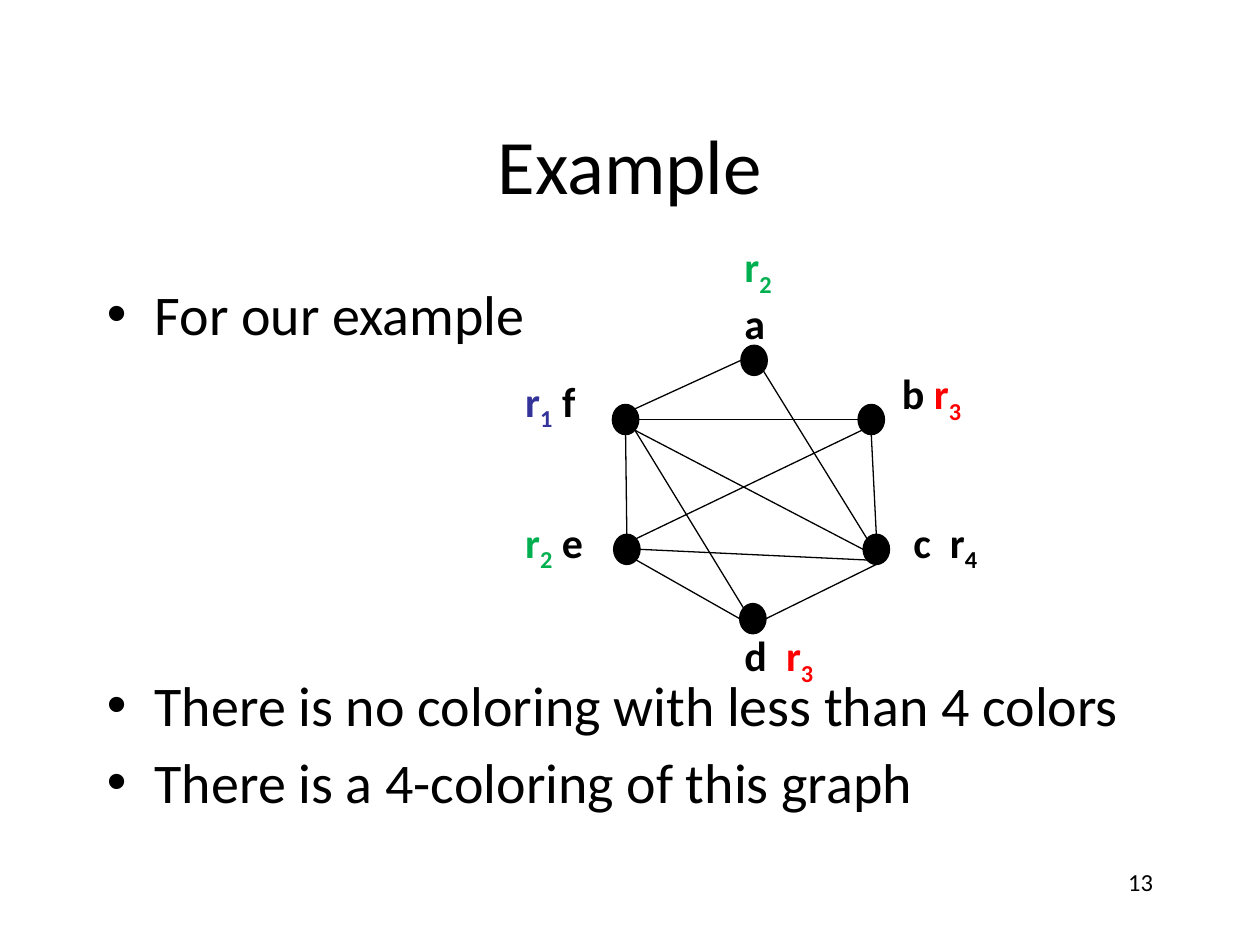
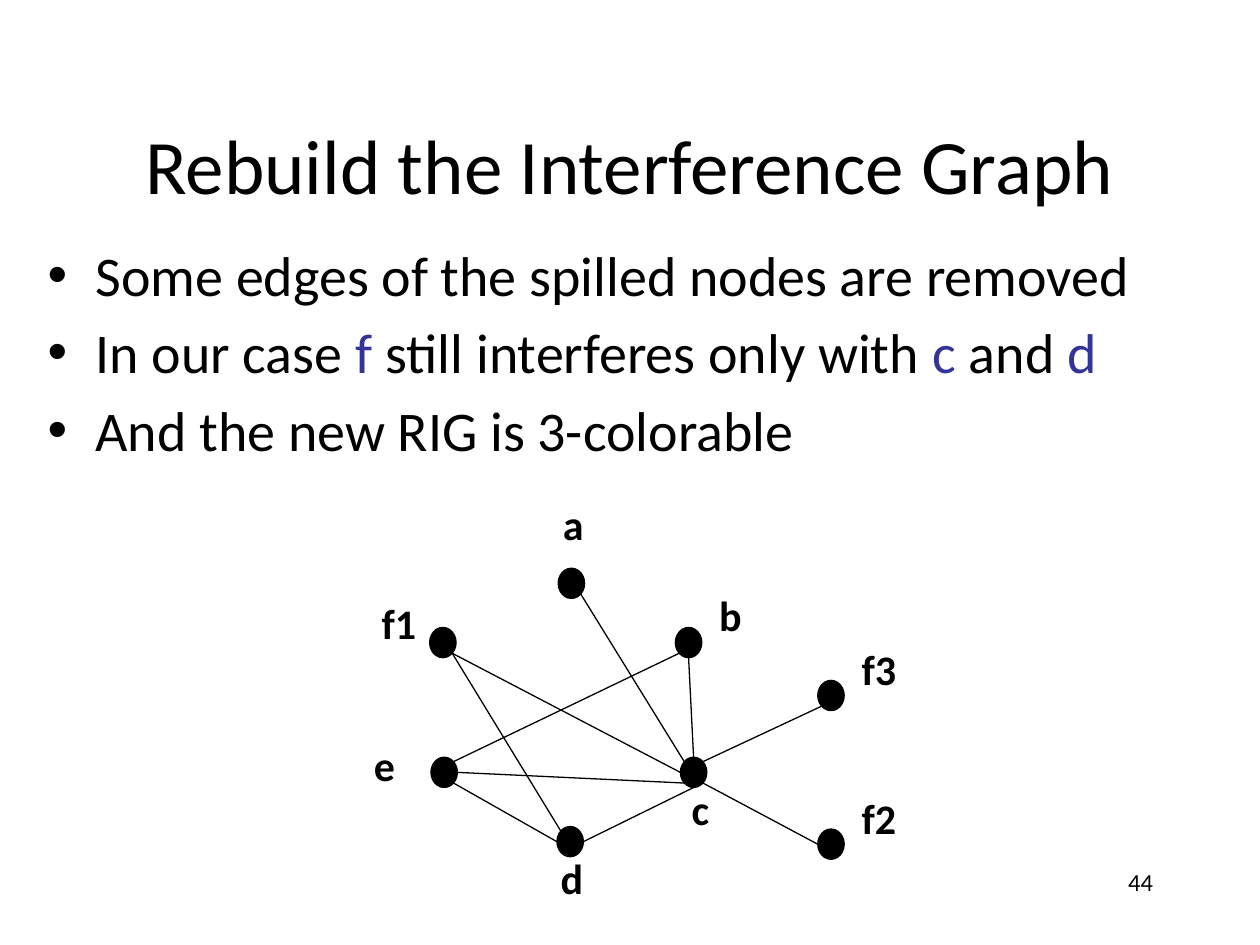
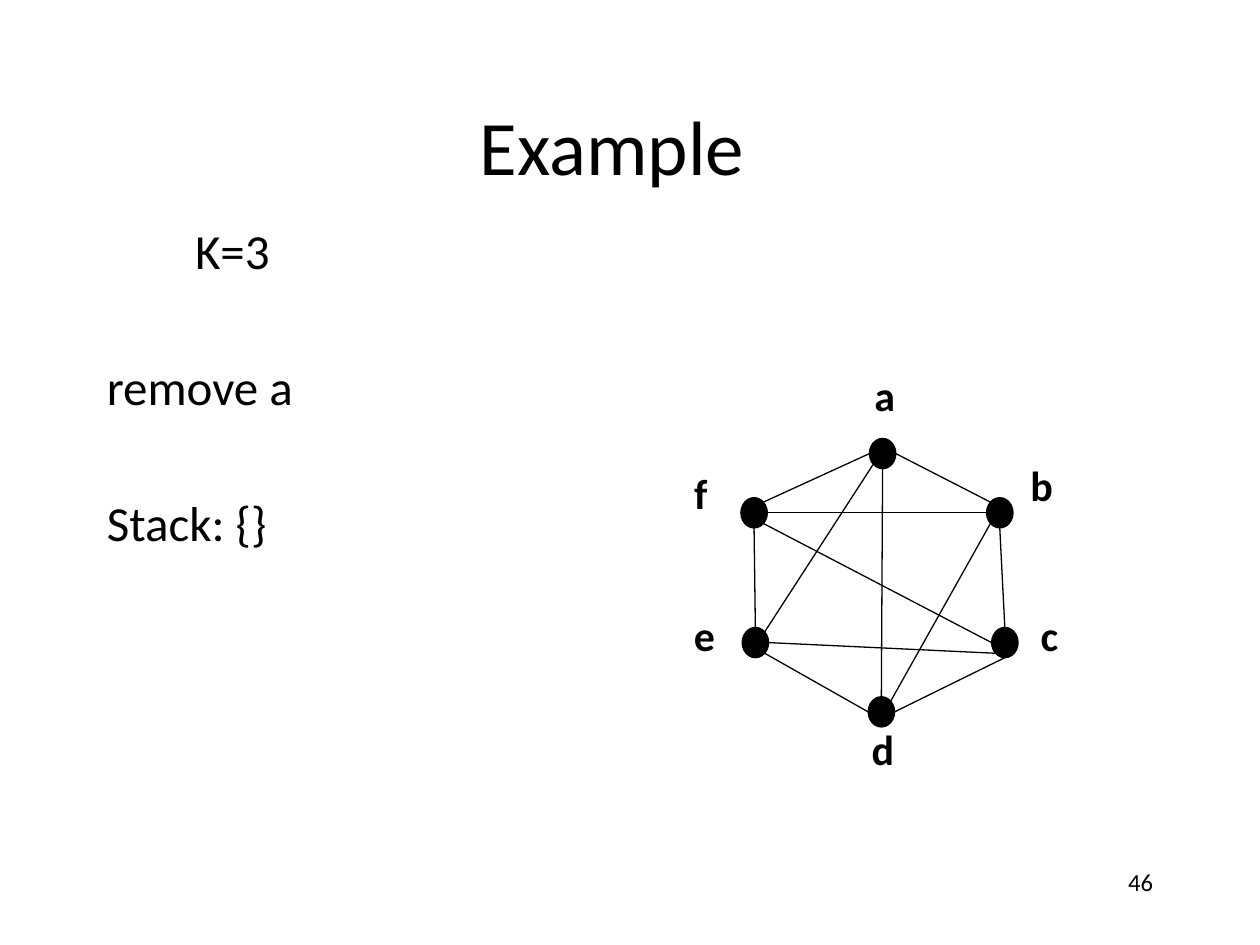
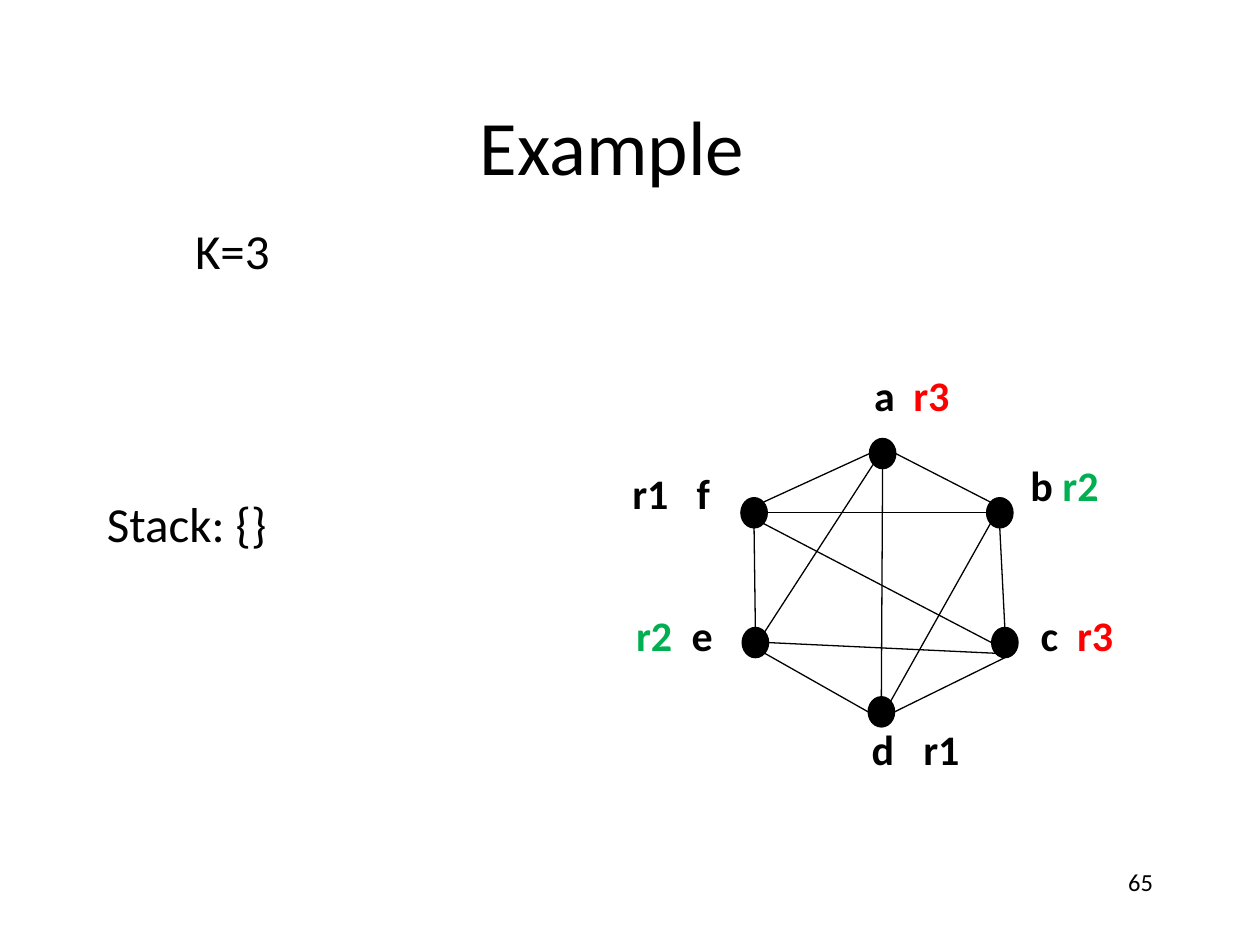
from dataclasses import dataclass

from lxml import etree
from pptx import Presentation
from pptx.dml.color import RGBColor
from pptx.enum.shapes import MSO_CONNECTOR, MSO_SHAPE
from pptx.enum.text import MSO_ANCHOR, PP_ALIGN
from pptx.oxml.ns import qn
from pptx.util import Inches, Pt

STRAIGHT, OVAL = MSO_CONNECTOR.STRAIGHT, MSO_SHAPE.OVAL
MIDDLE, TOP = MSO_ANCHOR.MIDDLE, MSO_ANCHOR.TOP
LEFT, CENTER, RIGHT = PP_ALIGN.LEFT, PP_ALIGN.CENTER, PP_ALIGN.RIGHT


@dataclass(frozen=True)
class Theme:
    font: str = "Calibri"
    black: str = "000000"
    blue: str = "333399"
    green: str = "00B050"
    red: str = "FF0000"
    title: int = 44
    bullet: int = 32
    step: int = 28
    label: int = 24
    page: int = 14
    edge: float = 0.75
    line_pitch: float = 1.4     # distance between paragraphs, in type sizes
    line_height: float = 1.22


THEME = Theme()

# A run is (text, colour) or (text, colour, "sub").
# A label is node: (dx, dy, width, tab stop, paragraphs), measured from the node.
# An edge is (node, side, node, side).
NODE_W, NODE_H = 0.21, 0.24
LABEL_H = 0.5
HEXAGON = {"a": (0, 0), "b": (0.93, 0.47), "c": (0.97, 1.5),
           "d": (-0.01, 2.05), "e": (-1.01, 1.5), "f": (-1.02, 0.47)}
SPLIT_NODES = {**{name: HEXAGON[name] for name in "abcde"},
               "f1": HEXAGON["f"], "f2": (2.06, 2.07), "f3": (2.06, 0.89)}


def plain(text):
    return [[(text, "black")]]


COLORED_LABELS = {
    "a": (-0.07, -0.88, 0.54, None, [[("r", "green"), ("2", "green", "sub")],
                                     [("a", "black")]]),
    "b": (0.25, -0.34, 0.86, None, [[("b ", "black"), ("r", "red"), ("3", "red", "sub")]]),
    "c": (0.3, -0.19, 1.01, 0.29, [[("c\tr", "black"), ("4", "black", "sub")]]),
    "d": (-0.06, 0.16, 1.01, 0.33, [[("d\t", "black"), ("r", "red"), ("3", "red", "sub")]]),
    "e": (-0.8, -0.19, 0.84, None, [[("r", "green"), ("2", "green", "sub"), (" e", "black")]]),
    "f": (-0.79, -0.28, 0.92, None, [[("r", "blue"), ("1", "blue", "sub"), (" f", "black")]]),
}
SPLIT_LABELS = {
    "a": (-0.06, -0.6, 0.54, None, plain("a")),
    "b": (0.25, -0.35, 0.86, None, plain("b")),
    "c": (-0.01, 0.16, 1.01, None, plain("c")),
    "d": (-0.07, 0.16, 1.01, None, plain("d")),
    "e": (-0.55, -0.19, 0.84, None, plain("e")),
    "f1": (-0.48, -0.29, 0.92, None, plain("f1")),
    "f2": (0.25, -0.34, 0.86, None, plain("f2")),
    "f3": (0.25, -0.34, 0.86, None, plain("f3")),
}
START_LABELS = {
    "a": (-0.06, -0.6, 0.99, None, plain("a")),
    "b": (0.25, -0.35, 0.86, None, plain("b")),
    "c": (0.29, -0.19, 1.01, None, plain("c")),
    "d": (-0.07, 0.16, 1.01, None, plain("d")),
    "e": (-0.48, -0.19, 0.54, None, plain("e")),
    "f": (-0.47, -0.29, 0.62, None, plain("f")),
}
FINAL_LABELS = {
    "a": (-0.06, -0.6, 1.67, 0.31, [[("a\t", "black"), ("r3", "red")]]),
    "b": (0.25, -0.35, 0.86, None, [[("b ", "black"), ("r2", "green")]]),
    "c": (0.29, -0.19, 1.72, 0.29, [[("c\t", "black"), ("r3", "red")]]),
    "d": (-0.07, 0.16, 1.01, 0.41, plain("d\tr1")),
    "e": (-0.94, -0.19, 0.84, 0.44, [[("r2\t", "green"), ("e", "black")]]),
    "f": (-0.96, -0.29, 0.92, 0.51, plain("r1\tf")),
}

RIM_EDGES = [("b", "S", "c", "N"), ("c", "SW", "e", "E"),
             ("c", "S", "d", "E"), ("d", "W", "e", "SE")]
COLORED_EDGES = RIM_EDGES + [
    ("a", "W", "f", "NE"), ("e", "N", "f", "S"), ("d", "NW", "f", "SE"),
    ("a", "SE", "c", "NW"), ("b", "W", "f", "E"), ("c", "W", "f", "SE"),
    ("b", "SW", "e", "NE")]
SPLIT_EDGES = RIM_EDGES + [
    ("d", "NW", "f1", "SE"), ("a", "SE", "c", "NW"), ("c", "W", "f1", "SE"),
    ("b", "SW", "e", "NE"), ("f3", "SW", "c", "NE"), ("f2", "W", "c", "SE")]
K3_EDGES = RIM_EDGES + [
    ("e", "N", "f", "S"), ("b", "W", "f", "E"), ("b", "SW", "d", "NE"),
    ("c", "W", "f", "SE"), ("a", "W", "f", "NE"), ("a", "E", "b", "NW"),
    ("a", "SW", "e", "NE"), ("a", "S", "d", "N")]

# A body line is (lines skipped above, left indent, runs).
BULLET_INDENT, K_INDENT = 0.38, 0.7
K_LINE = (0, K_INDENT, [("K=3", "black")])
STACK = [("Stack: {}", "black")]
BULLETS = {"body_size": THEME.bullet, "bulleted": True, "title_top": 0.67, "title_shift": 0}
STEPS = {"body_size": THEME.step, "bulleted": False, "title_top": 0.52, "title_shift": 0.28,
         "body_at": (0.75, 1.7, 8.66), "title": "Example",
         "graph_at": (6.9, 3.48), "nodes": HEXAGON, "edges": K3_EDGES}
SLIDES = [
    {**BULLETS, "title": "Example", "page": "13", "body_at": (0.75, 2.17, 8.66),
     "body": [(0, BULLET_INDENT, [("For our example", "black")]),
              (4, BULLET_INDENT,
               [("There is no coloring with less than 4 colors", "black")]),
              (0, BULLET_INDENT, [("There is a 4-coloring of this graph", "black")])],
     "graph_at": (5.88, 2.74), "nodes": HEXAGON, "edges": COLORED_EDGES,
     "labels": COLORED_LABELS},
    {**BULLETS, "title": "Rebuild the Interference Graph", "page": "44",
     "body_at": (0.28, 1.86, 9.21),
     "body": [(0, BULLET_INDENT,
               [("Some edges of the spilled nodes are removed", "black")]),
              (0, BULLET_INDENT,
               [("In our case ", "black"), ("f", "blue"),
                (" still interferes only with ", "black"), ("c", "blue"),
                (" and ", "black"), ("d", "blue")]),
              (0, BULLET_INDENT, [("And the new RIG is 3-colorable", "black")])],
     "graph_at": (4.43, 4.51), "nodes": SPLIT_NODES, "edges": SPLIT_EDGES,
     "labels": SPLIT_LABELS},
    {**STEPS, "page": "46", "labels": START_LABELS,
     "body": [K_LINE, (1, 0, [("remove a", "black")]), (1, 0, STACK)]},
    {**STEPS, "page": "65", "labels": FINAL_LABELS,
     "body": [K_LINE, (3, 0, STACK)]},
]


def color(name):
    return RGBColor.from_string(getattr(THEME, name))


def add_frame(slide, left, top, width, height, anchor=TOP):
    frame = slide.shapes.add_textbox(
        Inches(left), Inches(top), Inches(width), Inches(height)).text_frame
    frame.word_wrap = True
    frame.vertical_anchor = anchor
    return frame


def next_paragraph(frame, index):
    return frame.paragraphs[0] if index == 0 else frame.add_paragraph()


def add_runs(paragraph, runs, size, bold=False, align=LEFT):
    paragraph.alignment = align
    for text, ink, *position in runs:
        run = paragraph.add_run()
        run.text = text
        font = run.font
        font.name, font.size, font.bold = THEME.font, Pt(size), bold
        font.color.rgb = color(ink)
        if position:
            run._r.get_or_add_rPr().set("baseline", "-25000")


def add_title(slide, text, top, shift):
    """Centre the title; shift widens the right inset to move it left."""
    frame = add_frame(slide, 0.75, top, 8.5, 1.25, MIDDLE)
    frame.margin_right = Inches(0.1 + shift)
    add_runs(frame.paragraphs[0], [(text, "black")], THEME.title, align=CENTER)


def add_body(slide, lines, at, size, bulleted):
    frame = add_frame(slide, *at, 4.5)
    for index, (skipped, indent, runs) in enumerate(lines):
        paragraph = next_paragraph(frame, index)
        properties = paragraph._p.get_or_add_pPr()
        properties.set("marL", str(Inches(indent)))
        if bulleted:
            properties.set("indent", str(-Inches(indent)))
            etree.SubElement(properties, qn("a:buFont"), typeface="Arial")
            etree.SubElement(properties, qn("a:buChar"), char="•")
        if index:
            pitch = (skipped + 1) * THEME.line_pitch
            paragraph.space_before = Pt(size * (pitch - THEME.line_height))
        add_runs(paragraph, runs, size)


def add_label(slide, x, y, label):
    dx, dy, width, tab, paragraphs = label
    frame = add_frame(slide, x + dx, y + dy, width, LABEL_H * len(paragraphs))
    for index, runs in enumerate(paragraphs):
        paragraph = next_paragraph(frame, index)
        if tab:
            stops = etree.SubElement(paragraph._p.get_or_add_pPr(), qn("a:tabLst"))
            etree.SubElement(stops, qn("a:tab"), pos=str(Inches(tab)), algn="l")
        add_runs(paragraph, runs, THEME.label, bold=True)


def add_node(slide, x, y):
    node = slide.shapes.add_shape(OVAL, Inches(x), Inches(y), Inches(NODE_W), Inches(NODE_H))
    node.shadow.inherit = False
    node.fill.solid()
    node.fill.fore_color.rgb = color("black")
    node.line.color.rgb = color("black")
    node.line.width = Pt(THEME.edge)


def rim_point(position, side):
    """Point on a node's rim in a compass direction."""
    east = ("E" in side) - ("W" in side)
    south = ("S" in side) - ("N" in side)
    reach = 0.5 if len(side) == 1 else 0.5 ** 1.5
    x, y = position
    return (Inches(x + NODE_W * (0.5 + east * reach)),
            Inches(y + NODE_H * (0.5 + south * reach)))


def add_edge(slide, start, end):
    edge = slide.shapes.add_connector(STRAIGHT, *start, *end)
    edge.line.color.rgb = color("black")
    edge.line.width = Pt(THEME.edge)
    etree.SubElement(edge._element.spPr, qn("a:effectLst"))


def add_graph(slide, origin, nodes, edges, labels):
    places = {name: (origin[0] + dx, origin[1] + dy) for name, (dx, dy) in nodes.items()}
    for name, (x, y) in places.items():
        add_node(slide, x, y)
        add_label(slide, x, y, labels[name])
    for first, first_side, second, second_side in edges:
        add_edge(slide, rim_point(places[first], first_side),
                 rim_point(places[second], second_side))


def add_page_number(slide, number):
    frame = add_frame(slide, 7.17, 6.83, 2.08, 0.5)
    add_runs(frame.paragraphs[0], [(number, "black")], THEME.page, align=RIGHT)


def main():
    deck = Presentation()
    deck.slide_width, deck.slide_height = Inches(10), Inches(7.5)
    blank = deck.slide_layouts[6]
    for content in SLIDES:
        slide = deck.slides.add_slide(blank)
        add_title(slide, content["title"], content["title_top"], content["title_shift"])
        add_body(slide, content["body"], content["body_at"], content["body_size"],
                 content["bulleted"])
        add_page_number(slide, content["page"])
        add_graph(slide, content["graph_at"], content["nodes"], content["edges"],
                  content["labels"])
    deck.save("out.pptx")


if __name__ == "__main__":
    main()
